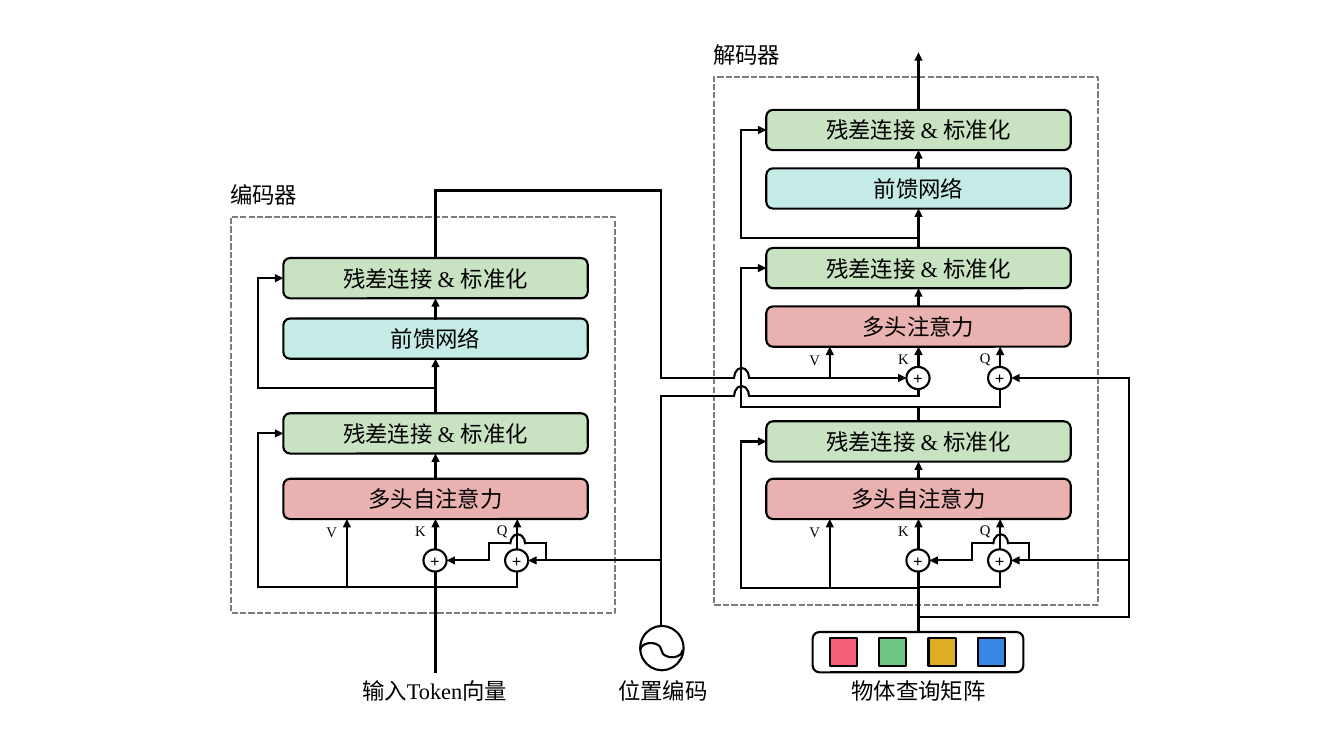
import pptx
import pptx.util
import pptx.dml.color
import pptx.enum.dml
import pptx.enum.shapes
import pptx.enum.text
import lxml.etree

Inches = pptx.util.Inches
Kind = pptx.enum.shapes.MSO_SHAPE
FONT = "Times New Roman"
BLACK, WHITE, GRAY = "000000", "FFFFFF", "7C7C7C"
RED, GREEN, CYAN = "E9B1AF", "C9E2C1", "C5EBE7"
NORM = ("残差连接 & 标准化", GREEN)
FEED = ("前馈网络", CYAN)
SELF = ("多头自注意力", RED)
CROSS = ("多头注意力", RED)
HALF, HIGH = 1.51, 0.4      # half width and height of a layer
RAIL = 1.76                 # distance of the skip rail from the axis
VALUE, QUERY = -0.88, 0.81  # inputs left and right of the axis
AXIS = 2.03                 # distance of the axis from the frame's left side


def color(code):
    return pptx.dml.color.RGBColor.from_string(code)


def write(shape, text, size, bold=False):
    frame = shape.text_frame
    frame.margin_left = frame.margin_right = 0
    frame.margin_top = frame.margin_bottom = 0
    frame.word_wrap = False
    frame.vertical_anchor = pptx.enum.text.MSO_ANCHOR.MIDDLE
    para = frame.paragraphs[0]
    para.text = text
    para.alignment = pptx.enum.text.PP_ALIGN.CENTER
    para.font.size = pptx.util.Pt(size)
    para.font.name = FONT
    para.font.bold = bold
    para.font.color.rgb = color(BLACK)


def label(slide, text, left, top, width, height=0.37, size=16):
    box = slide.shapes.add_textbox(*map(Inches, (left, top, width, height)))
    write(box, text, size)


def draw(slide, kind, left, top, width, height, fill=None, line=BLACK):
    shape = slide.shapes.add_shape(kind, *map(Inches, (left, top, width, height)))
    shape.shadow.inherit = False
    if fill:
        shape.fill.solid()
        shape.fill.fore_color.rgb = color(fill)
    else:
        shape.fill.background()
    shape.line.color.rgb = color(line)
    shape.line.width = pptx.util.Pt(1.5)
    return shape


def arc(slide, left, top, width, height, turn=0):
    """Draw the upper half of an ellipse."""
    shape = draw(slide, Kind.ARC, left, top, width, height)
    shape.adjustments[0] = 108
    shape.adjustments[1] = 0
    shape.rotation = turn


def route(slide, *points, arrow=True):
    """Join the points by straight lines, with an arrowhead on the last."""
    for start, end in zip(points, points[1:]):
        line = slide.shapes.add_connector(
            pptx.enum.shapes.MSO_CONNECTOR.STRAIGHT, *map(Inches, start + end))
        line.line.color.rgb = color(BLACK)
        line.line.width = pptx.util.Pt(1.5)
        props = line._element.spPr
        space = pptx.oxml.ns.qn
        lxml.etree.SubElement(props, space("a:effectLst"))
        stroke = props.find(space("a:ln"))
        stroke.set("cap", "sq")
        if arrow and end == points[-1]:
            lxml.etree.SubElement(stroke, space("a:tailEnd"), type="triangle")


def frame(slide, title, left, top, height):
    box = draw(slide, Kind.RECTANGLE, left, top, 3.81, height, line=GRAY)
    box.line.dash_style = pptx.enum.dml.MSO_LINE.SQUARE_DOT
    label(slide, title, left - 0.11, top - 0.4, 0.87)


def stack(slide, axis, layers):
    """Draw layers from top to bottom, with arrows going up between them."""
    above = None
    for top, (text, fill) in layers:
        box = draw(slide, Kind.ROUNDED_RECTANGLE, axis - HALF, top, 2 * HALF, HIGH, fill)
        write(box, text, 16)
        if above is not None:
            route(slide, (axis, top), (axis, above + HIGH))
        above = top


def skip(slide, axis, start, top):
    """Lead from the axis round the left to the layer at the given top."""
    end = top + HIGH / 2
    route(slide, (axis, start), (axis - RAIL, start), (axis - RAIL, end), (axis - HALF, end))


def sums(slide, axis, base, drop):
    """Draw the input letters and the two plus signs below a layer."""
    for step, (text, shift) in enumerate((("V", VALUE), ("K", 0), ("Q", QUERY))):
        label(slide, text, axis + shift - 0.25, base - 0.02 - step * 0.01, 0.2, 0.29, 10.5)
    for shift in (0, QUERY):
        ring = draw(slide, Kind.OVAL, axis + shift - 0.12, base + drop - 0.11, 0.23, 0.22, WHITE)
        write(ring, "+", 12, True)


def inputs(slide, axis, base, tail):
    """Draw the inputs of self attention; the axis comes from the tail."""
    low, mid, high = base + 0.67, base + 0.41, base + 0.24
    query = axis + QUERY
    route(slide, (axis, tail), (axis, base))
    route(slide, (axis + VALUE, low), (axis + VALUE, base))
    route(slide, (axis, low), (query, low), (query, base))
    route(slide, (query + 0.29, mid), (query + 0.29, high), (query + 0.08, high), arrow=False)
    arc(slide, query - 0.07, high - 0.09, 0.15, 0.2)
    route(slide, (query - 0.07, high), (query - 0.28, high), (query - 0.28, mid),
          (axis + 0.11, mid))
    sums(slide, axis, base, 0.41)


def encoder(slide, left, top):
    axis = left + AXIS
    frame(slide, "编码器", left, top, 3.93)
    stack(slide, axis, [(top + 0.41, NORM), (top + 1.01, FEED),
                        (top + 1.95, NORM), (top + 2.6, SELF)])
    skip(slide, axis, top + 1.7, top + 0.41)
    skip(slide, axis, top + 3.67, top + 1.95)
    inputs(slide, axis, top + 3, top + 4.52)
    label(slide, "输入Token向量", axis - 1.44, top + 4.52, 2.86)


def decoder(slide, left, top):
    axis = left + AXIS
    query = axis + QUERY
    frame(slide, "解码器", left, top, 5.24)
    route(slide, (axis, top + 0.33), (axis, top - 0.24))
    stack(slide, axis, [(top + 0.33, NORM), (top + 0.91, FEED),
                        (top + 1.7, NORM), (top + 2.28, CROSS)])
    stack(slide, axis, [(top + 3.42, NORM), (top + 3.99, SELF)])
    for start, end in ((1.6, 0.33), (3.28, 1.7), (5.07, 3.42)):
        skip(slide, axis, top + start, top + end)
    inputs(slide, axis, top + 4.39, top + 5.51)
    base = top + 2.68
    route(slide, (axis, top + 3.42), (axis, top + 3.28), (query, top + 3.28), (query, base))
    route(slide, (axis, base + 0.2), (axis, base))
    route(slide, (axis + VALUE, base + 0.31), (axis + VALUE, base))
    sums(slide, axis, base, 0.31)
    side, low = axis + 2.09, top + 5.36
    route(slide, (axis, low), (side, low), (side, base + 0.31), (query + 0.11, base + 0.31))
    route(slide, (side, top + 4.8), (query + 0.11, top + 4.8))


def matrix(slide, left, top):
    draw(slide, Kind.ROUNDED_RECTANGLE, left, top, 2.09, HIGH, WHITE)
    for spot, fill in enumerate(("F26077", "6FC684", "DEAD26", "3688E4")):
        draw(slide, Kind.RECTANGLE, left + 0.17 + spot * 0.49, top + 0.06, 0.27, 0.28, fill)
    label(slide, "物体查询矩阵", left - 0.38, top + 0.4, 2.86)


def source(slide, left, top):
    """Draw the position encoding with its wave."""
    draw(slide, Kind.OVAL, left, top, 0.43, 0.44, WHITE)
    arc(slide, left, top + 0.17, 0.21, 0.14)
    arc(slide, left + 0.21, top + 0.17, 0.21, 0.14, 180)
    label(slide, "位置编码", left - 0.39, top + 0.46, 1.23)


def links(slide, enc, dec, mid):
    """Join encoder and position encoding to the decoder, hopping its rail."""
    near, far = dec - RAIL - 0.07, dec - RAIL + 0.08
    for height in (3.75, 3.93):
        arc(slide, near, height - 0.1, 0.15, 0.2)
    route(slide, (enc, 2.56), (enc, 1.89), (mid, 1.89), (mid, 3.75), (near, 3.75), arrow=False)
    route(slide, (far, 3.75), (dec - 0.12, 3.75))
    route(slide, (mid, 6.21), (mid, 3.93), (near, 3.93), arrow=False)
    route(slide, (far, 3.93), (dec, 3.93), (dec, 3.86), arrow=False)
    route(slide, (mid, 5.56), (enc + QUERY + 0.11, 5.56))


def main():
    deck = pptx.Presentation()
    deck.slide_width, deck.slide_height = Inches(13.33), Inches(7.5)
    slide = deck.slides.add_slide(deck.slide_layouts[6])
    encoder(slide, 2.29, 2.15)
    decoder(slide, 7.08, 0.76)
    matrix(slide, 8.06, 6.27)
    source(slide, 6.35, 6.21)
    links(slide, 2.29 + AXIS, 7.08 + AXIS, 6.56)
    deck.save("out.pptx")


if __name__ == "__main__":
    main()
